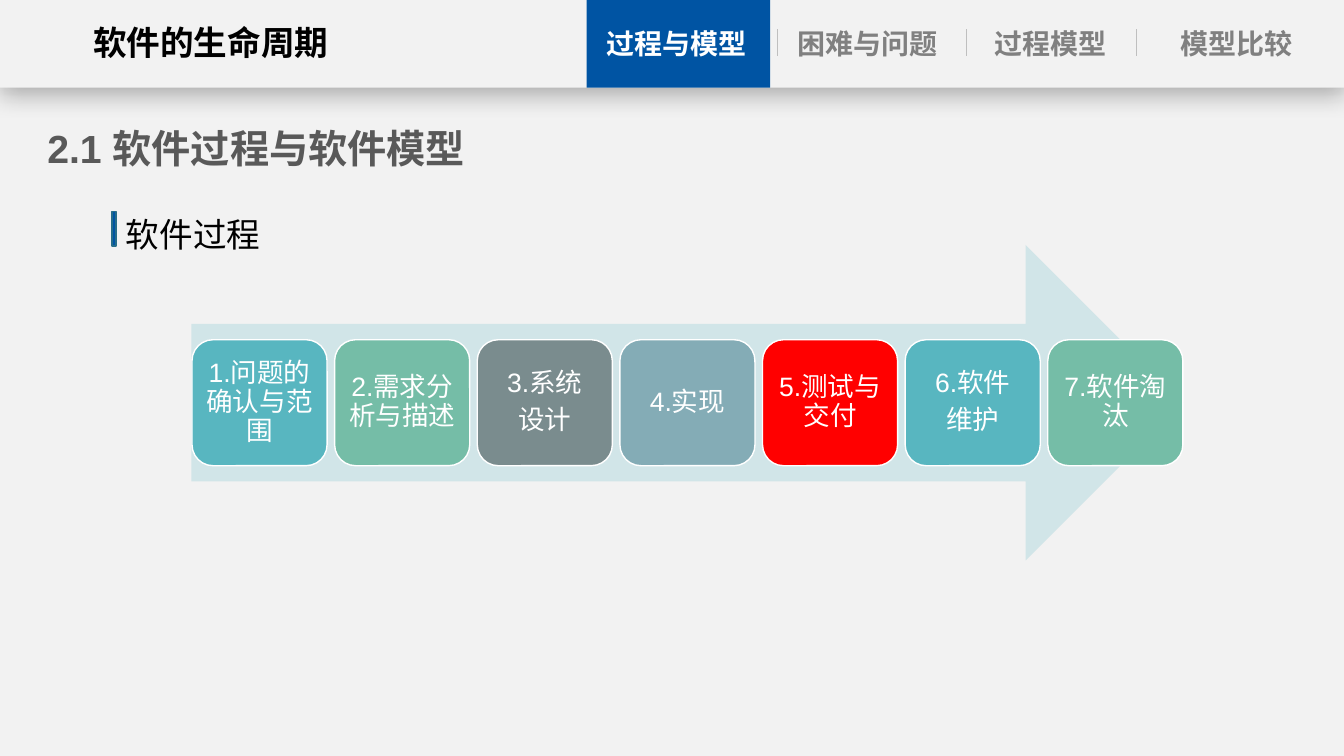
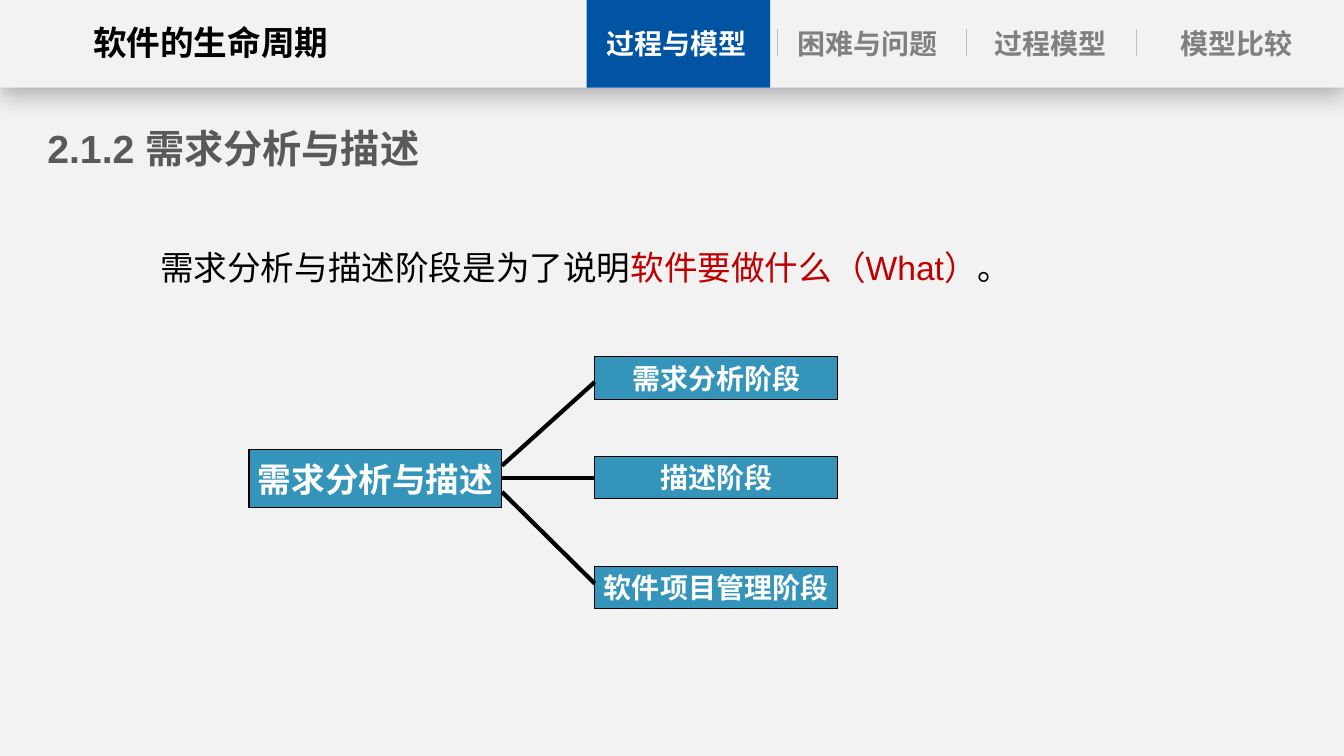
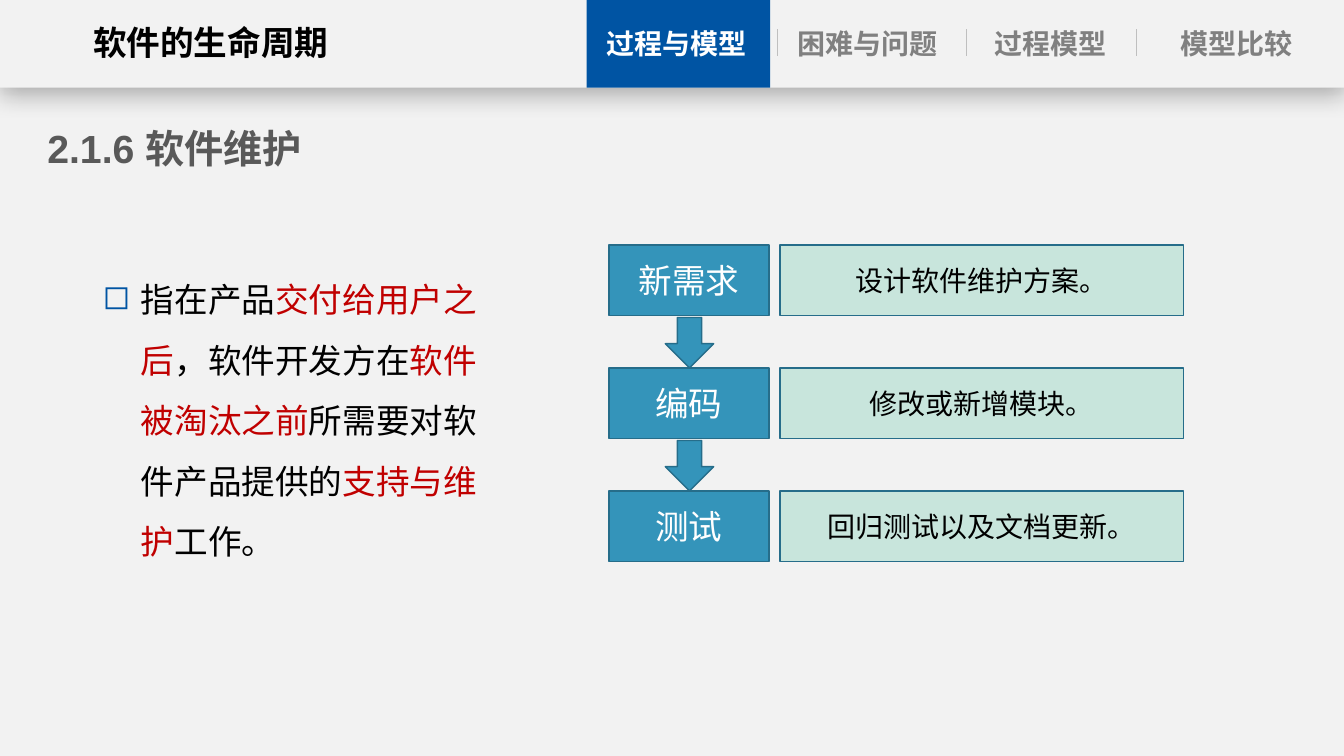
from lxml import etree
from pptx import Presentation
from pptx import util as u
from pptx.dml.color import RGBColor
from pptx.enum import shapes, text
from pptx.oxml import ns, parse_xml

GRID = u.Inches(0.1)  # every place and size below counts cells of this grid
COLS, ROWS = 133.33, 75
HEADER_ROWS = 8.7
LATIN, HAN = "Arial", "Noto Sans CJK SC"
COLORS = {
    "page": "F2F2F2", "white": "FFFFFF", "black": "000000", "heading": "595959",
    "tab": "808080", "rule": "BFBFBF", "accent": "0054A3", "key": "C00000",
    "teal": "3494BA", "edge": "266D8A", "mint": "C8E5DC", "arrow": "D1E5E8",
    "sky": "58B6C0", "green": "75BDA7", "slate": "7A8C8E", "mist": "84ACB6",
    "alert": "FF0000",
}
RGB = {name: RGBColor.from_string(value) for name, value in COLORS.items()}
KIND = shapes.MSO_SHAPE
CENTER = {"alignment": text.PP_ALIGN.CENTER}
FLUSH = {"margin_left": 0, "margin_right": 0}
MIDDLE = {"vertical_anchor": text.MSO_ANCHOR.MIDDLE}


def place(slide, at, kind=None, fill=None, edge=None, weight=1):
    """Add a preset shape, or a text box when no kind is given."""
    box = [round(cells * GRID) for cells in at]
    if kind is None:
        return slide.shapes.add_textbox(*box)
    part = slide.shapes.add_shape(kind, *box)
    part.shadow.inherit = False
    part.fill.solid()
    part.fill.fore_color.rgb = RGB[fill]
    if edge:
        part.line.color.rgb = RGB[edge]
        part.line.width = u.Pt(weight)
    else:
        part.line.fill.background()
    return part


def write(part, paragraphs, size, color, bold=False, latin=LATIN, frame={}, layout={}):
    """Fill a shape with paragraphs, each a string or a list of (text, color)."""
    body = part.text_frame
    for name, value in {"word_wrap": True, **frame}.items():
        setattr(body, name, value)
    for i, pieces in enumerate(paragraphs):
        paragraph = body.add_paragraph() if i else body.paragraphs[0]
        for name, value in layout.items():
            setattr(paragraph, name, value)
        for words, tint in [(pieces, color)] if isinstance(pieces, str) else pieces:
            run = paragraph.add_run()
            run.text = words
            for name, value in {"size": u.Pt(size), "bold": bold, "name": latin}.items():
                setattr(run.font, name, value)
            run.font.color.rgb = RGB[tint]
            etree.SubElement(run.font._element, ns.qn("a:ea"), typeface=HAN)
    return body


deck = Presentation()
deck.slide_width, deck.slide_height = round(COLS * GRID), round(ROWS * GRID)
backdrop = deck.slide_master.background.fill
backdrop.solid()
backdrop.fore_color.rgb = RGB["page"]

# Shared header and section title
tabs = [("过程与模型", 59.8, 14.7), ("困难与问题", 78.7, 14.7),
        ("过程模型", 96.9, 14.7), ("模型比较", 113.9, 17.6)]
rules = []  # slide, start x, start y, end x, end y, color, weight
pages = []
for heading in ("2.1 软件过程与软件模型", "2.1.2 需求分析与描述", "2.1.6 软件维护"):
    page = deck.slides.add_slide(deck.slide_layouts[6])
    pages.append(page)
    header = place(page, (0, 0, COLS, HEADER_ROWS), KIND.RECTANGLE, "page")
    effects = header._element.spPr.find(ns.qn("a:effectLst"))
    effects.append(parse_xml(
        f'<a:outerShdw {ns.nsdecls("a")} blurRad="{u.Pt(18)}" dist="{u.Pt(4)}" '
        'dir="5400000" algn="t" rotWithShape="0">'
        f'<a:srgbClr val="{COLORS["black"]}"><a:alpha val="29000"/></a:srgbClr>'
        '</a:outerShdw>'))
    place(page, (58.2, 0, 18.2, HEADER_ROWS), KIND.RECTANGLE, "accent")
    for i, (label, left, width) in enumerate(tabs):
        write(place(page, (left, 2.1, width, 4.4)), [label], 20, "tab" if i else "white",
              bold=True, frame=FLUSH, layout=CENTER)
    for x in (77.1, 95.9, 112.7):
        rules.append((page, x, 2.9, x, 5.6, "rule", 0.5))
    write(place(page, (6.5, 1.7, 28.8, 5.1)), ["软件的生命周期"], 24, "black",
          bold=True, latin=HAN, frame=FLUSH, layout=CENTER)
    write(place(page, (4.7, 11.8, 50, 5.8)), [heading], 28, "heading",
          bold=True, frame=FLUSH)
process, analysis, upkeep = pages

# Software process: seven steps on an arrow
place(process, (11.1, 21, 0.4, 3.4), KIND.RECTANGLE, "accent", "edge")
write(place(process, (11.5, 20.7, 52.2, 5)), ["软件过程"], 24, "black")
place(process, (19, 24.3, 98.4, 31.3), KIND.RIGHT_ARROW, "arrow")
steps = [
    (["1.问题的确认与范围"], "sky"), (["2.需求分析与描述"], "green"),
    (["3.系统", "设计"], "slate"), (["4.实现"], "mist"), (["5.测试与交付"], "alert"),
    (["6.软件", "维护"], "sky"), (["7.软件淘汰"], "green"),
]
padding = {f"margin_{side}": u.Inches(0.08) for side in ("left", "right", "top", "bottom")}
for i, (lines, color) in enumerate(steps):
    step = place(process, (19.05 + 14.15 * i, 33.7, 13.4, 12.5),
                 KIND.ROUNDED_RECTANGLE, color, "white")
    write(step, lines, 19, "white", frame={**padding, **MIDDLE},
          layout={**CENTER, "line_spacing": 0.9, "space_after": u.Pt(6)})

# Requirements analysis: one topic, three stages
purpose = write(place(analysis, (9.9, 22, 99.3, 6.3)), [[
    ("需求分析与描述阶段是为了说明", "black"), ("软件要做什么（What）", "key"), ("。", "black"),
]], 24, "black", layout={"level": 1, "line_spacing": 1.5})
purpose.paragraphs[0]._p.get_or_add_pPr().set("marL", str(u.Inches(0.5)))
stages = [
    ("需求分析与描述", (24.7, 44.6, 25.1, 5.8), 24),
    ("需求分析阶段", (59, 35.4, 24.1, 4.2), 20),
    ("描述阶段", (59, 45.3, 24.1, 4.2), 20),
    ("软件项目管理阶段", (59, 56.2, 24.1, 4.2), 20),
]
for label, at, size in stages:
    write(place(analysis, at, KIND.RECTANGLE, "teal", "black", 0.75), [label], size, "white",
          bold=True, frame={**MIDDLE, "word_wrap": False}, layout=CENTER)
for start, end in ((46.2, 37.9), (47.4, 47.4), (48.8, 57.9)):
    rules.append((analysis, 49.8, start, 59, end, "black", 3))

# Maintenance: definition beside a three-step flow
meaning = write(place(upkeep, (9.2, 25.2, 40.1, 30.5)), [[
    ("指在产品", "black"), ("交付给用户之后", "key"), ("，软件开发方在", "black"),
    ("软件被淘汰之前", "key"), ("所需要对软件产品提供的", "black"),
    ("支持与维护", "key"), ("工作。", "black"),
]], 24, "black", layout={"line_spacing": 1.5})
bullet = meaning.paragraphs[0]._p.get_or_add_pPr()
bullet.set("marL", str(u.Inches(0.38)))
bullet.set("indent", str(-u.Inches(0.38)))
tint = etree.SubElement(bullet, ns.qn("a:buClr"))
etree.SubElement(tint, ns.qn("a:srgbClr"), val=COLORS["accent"])
etree.SubElement(bullet, ns.qn("a:buChar"), char="◻")

flow = [("新需求", "设计软件维护方案。"), ("编码", "修改或新增模块。"),
        ("测试", "回归测试以及文档更新。")]
for i, (task, detail) in enumerate(flow):
    top = 24.3 + 12.2 * i
    for words, left, width, fill, size, color in (
            (task, 60.4, 15.9, "teal", 24, "white"),
            (detail, 77.4, 40, "mint", 20, "black")):
        write(place(upkeep, (left, top, width, 7), KIND.RECTANGLE, fill, "edge"),
              [words], size, color, frame=MIDDLE, layout=CENTER)
    if i:
        place(upkeep, (66, top - 5, 4.8, 5), KIND.DOWN_ARROW, "teal", "edge")

for page, *ends, color, weight in rules:
    rule = page.shapes.add_connector(shapes.MSO_CONNECTOR.STRAIGHT,
                                     *[round(cells * GRID) for cells in ends])
    rule.line.color.rgb = RGB[color]
    rule.line.width = u.Pt(weight)
    etree.SubElement(rule._element.spPr, ns.qn("a:effectLst"))

deck.save("out.pptx")
